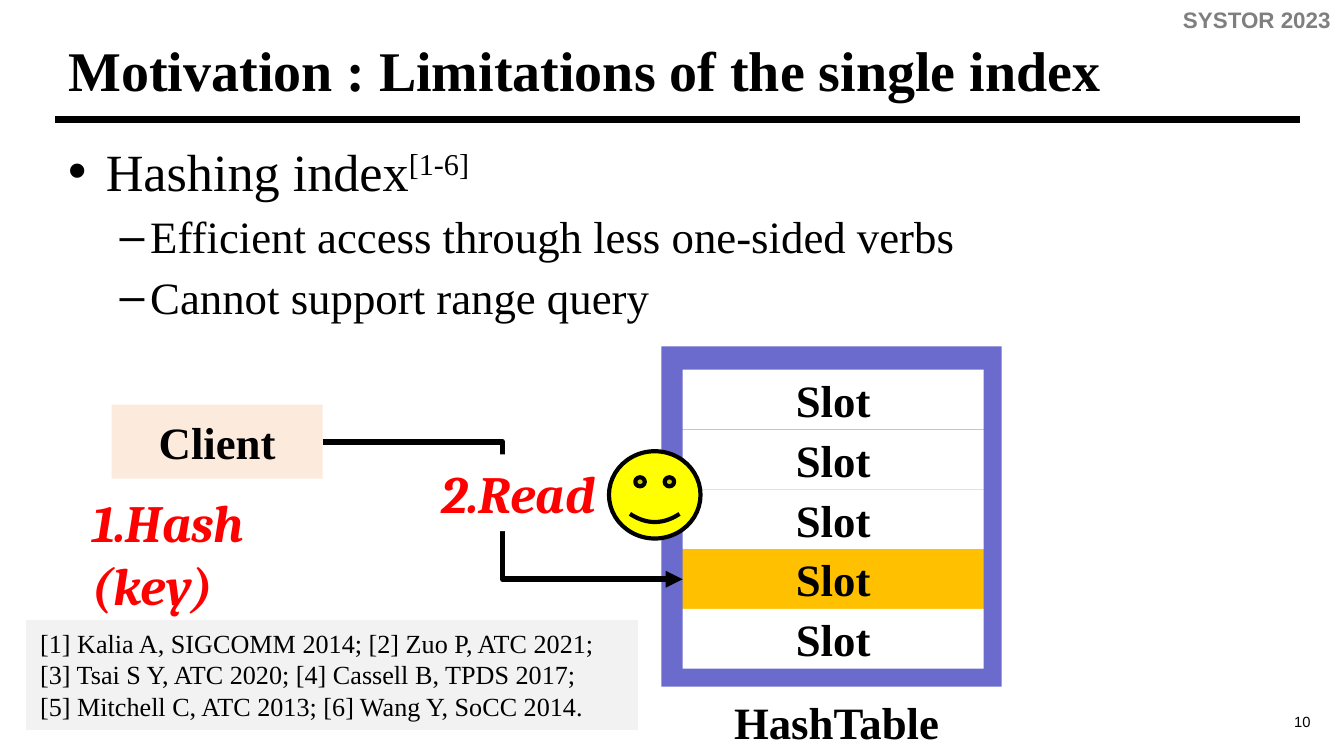
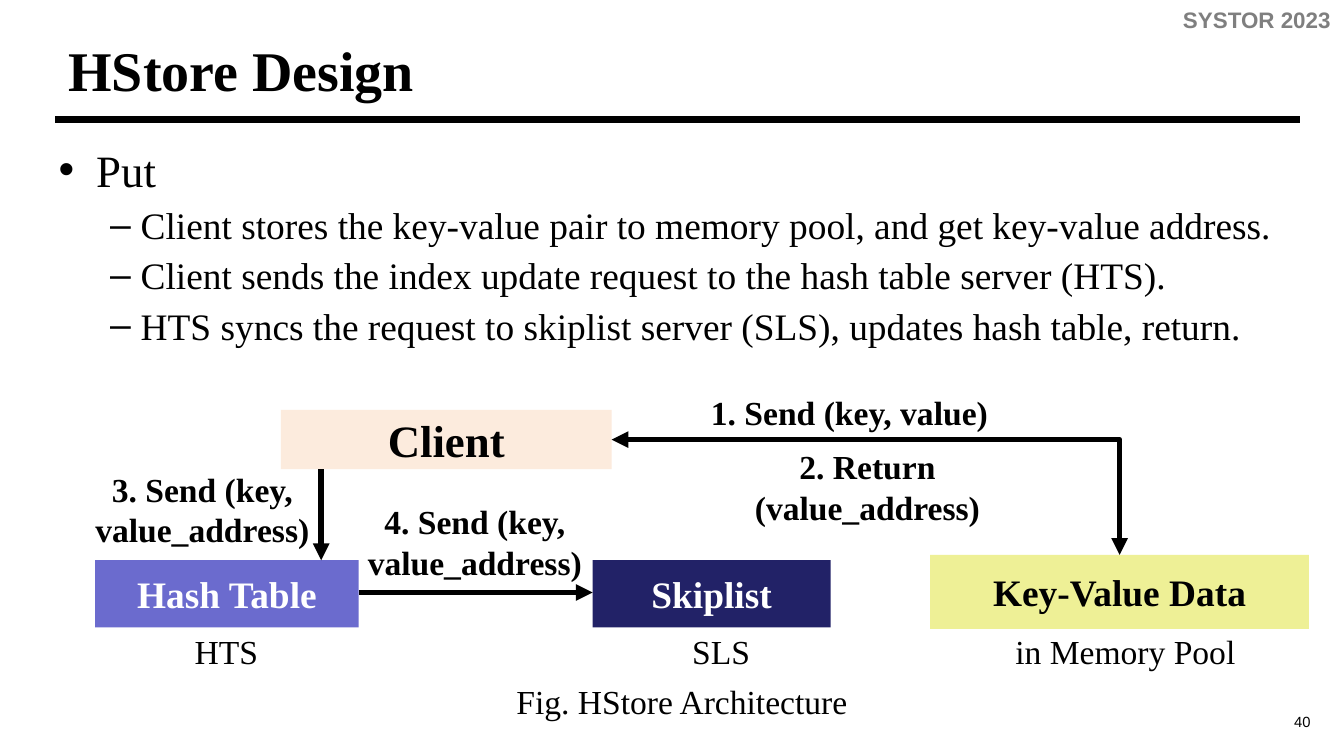
import lxml.etree
import pptx
import pptx.dml.color
import pptx.enum.shapes
import pptx.enum.text
import pptx.oxml.ns
import pptx.util

Cm, Pt = pptx.util.Cm, pptx.util.Pt
RGB = pptx.dml.color.RGBColor
Align = pptx.enum.text.PP_ALIGN
Anchor = pptx.enum.text.MSO_ANCHOR
Shape = pptx.enum.shapes.MSO_SHAPE
Link = pptx.enum.shapes.MSO_CONNECTOR

BLACK = RGB(0, 0, 0)
WHITE = RGB(255, 255, 255)
GRAY = RGB(0x7F, 0x7F, 0x7F)
PALE = RGB(0xF2, 0xF2, 0xF2)
PEACH = RGB(0xFC, 0xEB, 0xDD)
VIOLET = RGB(0x6B, 0x6B, 0xCE)
NAVY = RGB(0x22, 0x22, 0x67)
GOLD = RGB(0xFF, 0xC0, 0x00)
LEMON = RGB(0xEE, 0xF0, 0x96)
YELLOW = RGB(255, 255, 0)
RED = RGB(255, 0, 0)

SERIF = "Times New Roman"
NOTE = dict(size=28, font="Cambria", color=RED, bold=True, italic=True,
            align=Align.LEFT, anchor=Anchor.TOP)


def sub(node, tag, **attrs):
    return lxml.etree.SubElement(node, pptx.oxml.ns.qn(tag), **attrs)


def add_run(para, text, size=18, font=SERIF, color=BLACK, bold=False,
            italic=False, raised=False):
    run = para.add_run()
    run.text = text
    face = run.font
    face.name, face.size, face.bold, face.italic = font, Pt(size), bold, italic
    face.color.rgb = color
    if raised:
        run._r.get_or_add_rPr().set("baseline", "30000")


def write(frame, text, align=Align.CENTER, anchor=Anchor.TOP, **style):
    """Fill a text frame, one paragraph for each line of text."""
    frame.word_wrap = True
    frame.auto_size = pptx.enum.text.MSO_AUTO_SIZE.NONE
    frame.vertical_anchor = anchor
    for num, line in enumerate(text.split("\n")):
        para = frame.add_paragraph() if num else frame.paragraphs[0]
        para.alignment = align
        add_run(para, line, **style)


class Deck:
    def __init__(self):
        self.show = pptx.Presentation()
        self.show.slide_width = Cm(25.4)
        self.show.slide_height = Cm(14.29)

    def page(self, title, num):
        """Start a slide with its title, rule, header and page number."""
        self.slide = self.show.slides.add_slide(self.show.slide_layouts[5])
        head = self.slide.shapes.title
        head.left, head.top = Cm(1.04), Cm(0.36)
        head.width, head.height = Cm(21.89), Cm(1.9)
        write(head.text_frame, title, align=Align.LEFT, anchor=Anchor.MIDDLE,
              size=30, bold=True)
        self.label("SYSTOR 2023", 18.36, 0, 7.04, 0.76, align=Align.RIGHT,
                   size=12, font="Arial", color=GRAY, bold=True)
        self.label(str(num), 23.88, 13.34, 1.47, 0.84, size=7.9, font="Arial")
        self.line(1.04, 2.26, 24.56, 2.26, width=4)

    def label(self, text, x, y, w, h=1.02, **style):
        box = self.slide.shapes.add_textbox(Cm(x), Cm(y), Cm(w), Cm(h))
        write(box.text_frame, text, **style)

    def box(self, text, x, y, w, h, fill, kind=Shape.RECTANGLE, edge=None,
            width=0.75, anchor=Anchor.MIDDLE, **style):
        shape = self.slide.shapes.add_shape(kind, Cm(x), Cm(y), Cm(w), Cm(h))
        shape.shadow.inherit = False
        shape.fill.solid()
        shape.fill.fore_color.rgb = fill
        if edge is None:
            shape.line.fill.background()
        else:
            shape.line.color.rgb = edge
            shape.line.width = Pt(width)
        if text:
            write(shape.text_frame, text, anchor=anchor, **style)

    def line(self, x1, y1, x2, y2, width=3, kind=Link.STRAIGHT, ends=(),
             preset=None):
        """Draw a line; ends lists which of headEnd and tailEnd have arrows."""
        link = self.slide.shapes.add_connector(
            kind, Cm(x1), Cm(y1), Cm(x2), Cm(y2))
        link.line.color.rgb = BLACK
        link.line.width = Pt(width)
        for end in ends:
            sub(link.line._get_or_add_ln(), "a:" + end, type="triangle")
        props = link._element.spPr
        sub(props, "a:effectLst")
        if preset:
            props.find(pptx.oxml.ns.qn("a:prstGeom")).set("prst", preset)

    def bullets(self, top, items, x, y, w, h, size, mark=""):
        """Write a top bullet, with a raised mark, and dashed items under it."""
        box = self.slide.shapes.add_textbox(Cm(x), Cm(y), Cm(w), Cm(h))
        frame = box.text_frame
        frame.word_wrap = True
        for num, text in enumerate([top] + items):
            para = frame.add_paragraph() if num else frame.paragraphs[0]
            para.level = 1 if num else 0
            left, hang, char = (1.55, 0.58, "–") if num else (0.71, 0.71, "•")
            props = para._p.get_or_add_pPr()
            props.set("marL", str(Cm(left)))
            props.set("indent", str(-Cm(hang)))
            sub(sub(props, "a:spcBef"), "a:spcPct", val="15000")
            sub(props, "a:buFont", typeface="Arial")
            sub(props, "a:buChar", char=char)
            add_run(para, text, size=size - 4 if num else size)
            if mark and not num:
                add_run(para, mark, size=size, raised=True)


def limits(deck):
    deck.page("Motivation : Limitations of the single index", 10)
    deck.bullets("Hashing index",
                 ["Efficient access through less one-sided verbs",
                  "Cannot support range query"],
                 1.04, 2.51, 23.75, 10.82, size=28, mark="[1-6]")
    bold = dict(size=24, bold=True)
    deck.box("Client", 2.11, 7.65, 3.99, 1.4, PEACH, **bold)
    deck.box("", 12.5, 6.55, 6.43, 6.43, VIOLET)
    pitch = 1.13
    for row in range(5):
        deck.box("Slot", 12.9, 6.99 + row * pitch, 5.69, pitch,
                 GOLD if row == 3 else WHITE, **bold)
    deck.label("HashTable", 12.9, 13, 5.82, 1.27, **bold)
    deck.line(6.1, 8.35, 12.9, 10.95, kind=Link.ELBOW, ends=["tailEnd"])
    deck.box("2.Read", 8.1, 8.59, 3.56, 1.45, WHITE, **NOTE)
    deck.label("1.Hash (key)", 1.5, 9.14, 5.46, 1.45, **NOTE)
    deck.box("", 11.51, 8.53, 1.73, 1.65, YELLOW, kind=Shape.SMILEY_FACE,
             edge=BLACK, width=2.25)
    deck.box("[1] Kalia A, SIGCOMM 2014; [2] Zuo P, ATC 2021;\n"
             "[3] Tsai S Y, ATC 2020; [4] Cassell B, TPDS 2017;\n"
             "[5] Mitchell C, ATC 2013; [6] Wang Y, SoCC 2014.",
             0.51, 11.73, 11.53, 2.06, PALE, edge=PALE, size=14,
             align=Align.LEFT, anchor=Anchor.TOP)


def design(deck):
    deck.page("HStore Design", 40)
    deck.bullets("Put",
                 ["Client stores the key-value pair to memory pool, "
                  "and get key-value address.",
                  "Client sends the index update request to the "
                  "hash table server (HTS).",
                  "HTS syncs the request to skiplist server (SLS), "
                  "updates hash table, return."],
                 0.86, 2.57, 23.67, 11, size=24)
    for text, x, y, w, h, fill, color, size in [
            ("Client", 5.31, 7.75, 6.25, 1.12, PEACH, BLACK, 24),
            ("Hash Table", 1.8, 10.59, 4.98, 1.27, VIOLET, WHITE, 20),
            ("Skiplist", 11.2, 10.59, 4.5, 1.27, NAVY, WHITE, 20),
            ("Key-Value Data", 17.58, 10.49, 7.16, 1.4, LEMON, BLACK, 20)]:
        deck.box(text, x, y, w, h, fill, color=color, size=size, bold=True)

    deck.line(6.07, 8.87, 6.07, 10.59, ends=["tailEnd"])
    deck.line(6.78, 11.2, 11.2, 11.2, ends=["tailEnd"])
    deck.line(11.56, 8.31, 21.16, 10.49, kind=Link.ELBOW,
              ends=["headEnd", "tailEnd"], preset="bentConnector2")

    for text, x, y, w in [
            ("1. Send (key, value)", 12.7, 7.29, 6.71),
            ("2. Return (value_address)", 12.7, 8.31, 7.39),
            ("3. Send (key, value_address)", 1.3, 8.74, 5.05),
            ("4. Send (key, value_address)", 6.45, 9.35, 5.05)]:
        deck.label(text, x, y, w, bold=True)
    for text, x in [("HTS", 1.7), ("SLS", 11.05), ("in Memory Pool", 18.69)]:
        deck.label(text, x, 11.81, 5.16)
    deck.label("Fig. HStore Architecture", 1.04, 12.75, 23.7)


def main():
    deck = Deck()
    limits(deck)
    design(deck)
    deck.show.save("out.pptx")


if __name__ == "__main__":
    main()
